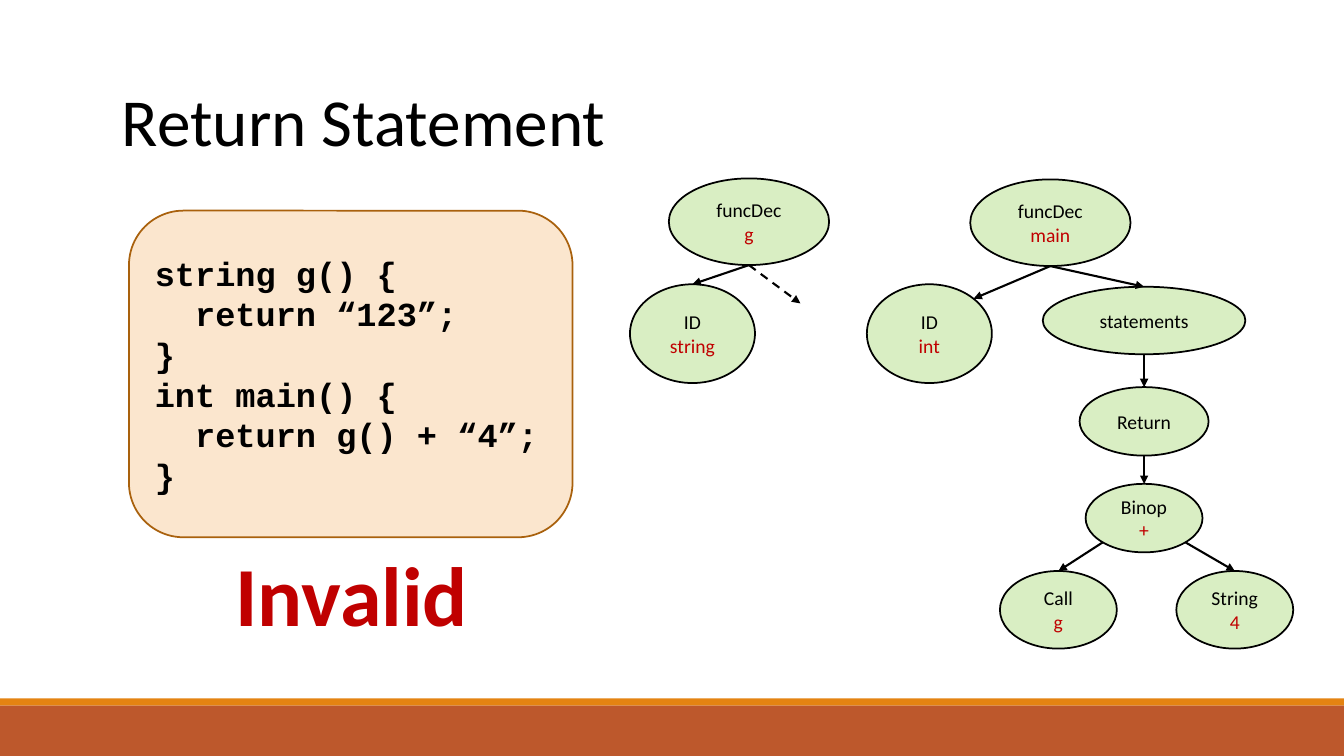
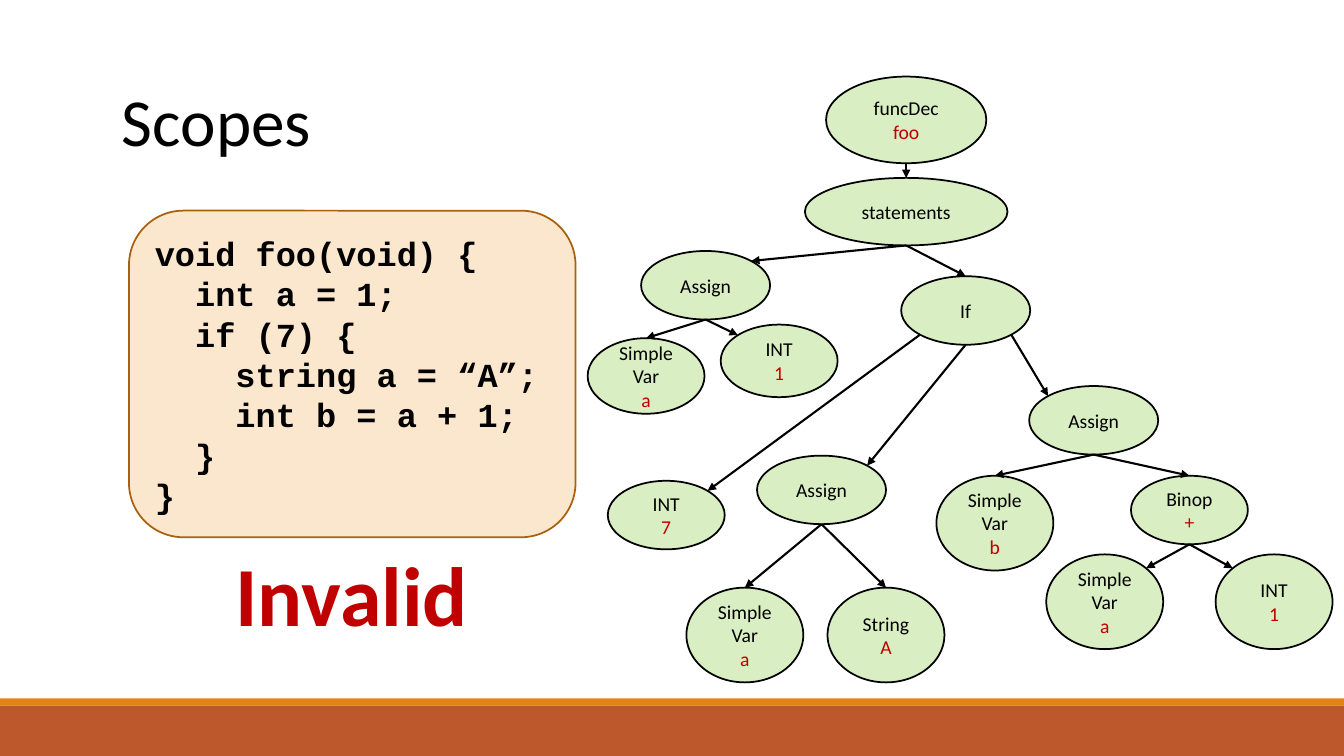
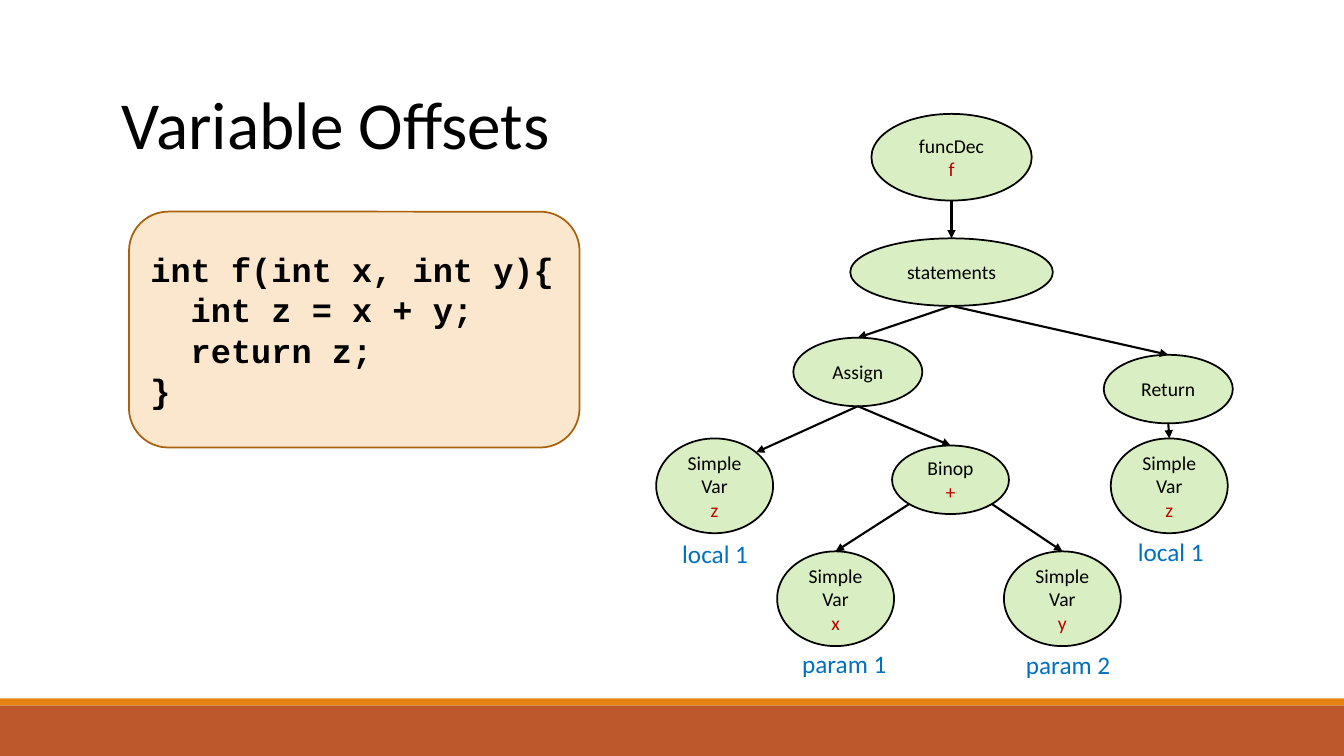
import pptx
import pptx.util
import pptx.dml.color
import pptx.enum.dml
import pptx.enum.shapes
import pptx.enum.text
import pptx.oxml.ns
import lxml.etree

Shape = pptx.enum.shapes.MSO_SHAPE
Align = pptx.enum.text.PP_ALIGN
Anchor = pptx.enum.text.MSO_ANCHOR
qn = pptx.oxml.ns.qn

CELL = pptx.util.Inches(0.1)
COLS, ROWS = 133.33, 75

BLACK, RED, BLUE, GREEN = "000000", "C00000", "0070C0", "92D050"
CREAM, BROWN, RUST, ORANGE = "FBE6CE", "A9610D", "BD582C", "E48312"

FUNC, BLOCK, STEP, TYPE = (15.9, 8.6), (20.1, 6.7), (12.8, 6.8), (12.4, 9.8)
OPERATOR, LEAF, VALUE = (11.6, 6.8), (11.6, 9.4), (11.6, 7.7)

DIAGONAL = 0.5 ** 0.5
SITES = {
    "N": (0, -1),
    "S": (0, 1),
    "NE": (DIAGONAL, -DIAGONAL),
    "NW": (-DIAGONAL, -DIAGONAL),
    "SE": (DIAGONAL, DIAGONAL),
    "SW": (-DIAGONAL, DIAGONAL),
}


def rgb(color):
    return pptx.dml.color.RGBColor.from_string(color)


def cells(*lengths):
    return [round(n * CELL) for n in lengths]


class Deck:
    def __init__(self):
        self.prs = pptx.Presentation()
        self.prs.slide_width, self.prs.slide_height = cells(COLS, ROWS)
        self.s = None

    def slide(self, title, top=7.3):
        self.s = self.prs.slides.add_slide(self.prs.slide_layouts[5])
        if len(self.prs.slides) == 1:
            self.band(70, 5, RUST, 101)
            self.band(69.3, 0.7, ORANGE, 102)
        sp = self.s.shapes.title
        sp.left, sp.top, sp.width, sp.height = cells(11.1, top, 110.9, 9.1)
        self.set_text(sp.text_frame, [title], 48, align=Align.LEFT)

    def band(self, top, height, color, number):
        sp = self.shape(Shape.RECTANGLE, (0, top, COLS, height), color)
        sp.element.nvSpPr.cNvPr.id = number
        self.prs.slide_master.shapes.element.insert(2, sp.element)

    def set_text(self, tf, lines, size, color=BLACK, align=Align.CENTER,
                 font="Calibri", bold=False):
        tf.word_wrap = True
        tf.text = "\n".join(lines)
        for p in tf.paragraphs:
            p.alignment = align
            p.font.size = pptx.util.Pt(size)
            p.font.name = font
            p.font.bold = bold
            p.font.color.rgb = rgb(color)

    def shape(self, kind, box, fill, line=None):
        sp = self.s.shapes.add_shape(kind, *cells(*box))
        sp.shadow.inherit = False
        sp.fill.solid()
        sp.fill.fore_color.rgb = rgb(fill)
        if line:
            sp.line.color.rgb = rgb(line)
            sp.line.width = pptx.util.Pt(1.25)
        else:
            sp.line.fill.background()
        return sp

    def text(self, box, text, size, color, **style):
        tf = self.s.shapes.add_textbox(*cells(*box)).text_frame
        self.set_text(tf, [text], size, color, **style)

    def code(self, width, source, top=20.9, height=32.4):
        sp = self.shape(Shape.ROUNDED_RECTANGLE, (12.8, top, width, height), CREAM, BROWN)
        self.set_text(sp.text_frame, source.strip().split("\n"), 24,
                      align=Align.LEFT, font="Courier New", bold=True)

    def verdict(self):
        self.text((19.6, 53.3, 30.6, 11.1), "Invalid", 60, RED, bold=True)

    def label(self, x, y, text):
        self.text((x, y, 10.4, 4), text, 18, BLUE, align=Align.LEFT)

    def node(self, size, x, y, label, value=""):
        w, h = size
        sp = self.shape(Shape.OVAL, (x - w / 2, y - h / 2, w, h), GREEN, BLACK)
        color = sp.element.spPr.find(".//" + qn("a:srgbClr"))
        lxml.etree.SubElement(color, qn("a:alpha"), val="34000")
        tf = sp.text_frame
        tf.vertical_anchor = Anchor.MIDDLE
        self.set_text(tf, label.split() + value.split(), 14)
        if value:
            tf.paragraphs[-1].font.color.rgb = rgb(RED)

    def arrow(self, start, end, dashed=False):
        c = self.s.shapes.add_connector(
            pptx.enum.shapes.MSO_CONNECTOR.STRAIGHT, *cells(*start, *end))
        c.line.color.rgb = rgb(BLACK)
        c.line.width = pptx.util.Pt(1.5)
        if dashed:
            c.line.dash_style = pptx.enum.dml.MSO_LINE.DASH
        lxml.etree.SubElement(c.get_or_add_ln(), qn("a:tailEnd"), type="triangle")
        lxml.etree.SubElement(c.element.spPr, qn("a:effectLst"))

    def tree(self, nodes, links):
        def site(name, side):
            (w, h), x, y = nodes[name][:3]
            dx, dy = SITES[side]
            return x + dx * w / 2, y + dy * h / 2

        for node in nodes.values():
            self.node(*node)
        for parent, child, leave, enter in links:
            self.arrow(site(parent, leave), site(child, enter))


deck = Deck()

deck.slide("Return Statement")
deck.verdict()
deck.code(44, """
string g() {
  return “123”;
}
int main() {
  return g() + “4”;
}
""")
deck.tree({
    "g": (FUNC, 74.3, 22, "funcDec", "g"),
    "g type": (TYPE, 68.7, 33.1, "ID", "string"),
    "main": (FUNC, 104.2, 22.1, "funcDec", "main"),
    "main type": (TYPE, 92.2, 33.1, "ID", "int"),
    "body": (BLOCK, 113.5, 31.8, "statements"),
    "return": (STEP, 113.5, 41.8, "Return"),
    "plus": (OPERATOR, 113.5, 51.4, "Binop", "+"),
    "call": (VALUE, 105, 60.5, "Call", "g"),
    "four": (VALUE, 122.5, 60.5, "String", "4"),
}, [
    ("g", "g type", "S", "N"),
    ("main", "main type", "S", "NE"),
    ("main", "body", "S", "N"),
    ("body", "return", "S", "N"),
    ("return", "plus", "S", "N"),
    ("plus", "call", "SW", "N"),
    ("plus", "four", "SE", "N"),
])
deck.arrow((74.3, 26.3), (79.4, 30.1), dashed=True)

deck.slide("Scopes")
deck.verdict()
deck.code(44.3, """
void foo(void) {
  int a = 1;
  if (7) {
    string a = “A”;
    int b = a + 1;
  }
}
""")
deck.tree({
    "foo": (FUNC, 89.9, 11.9, "funcDec", "foo"),
    "body": (BLOCK, 89.9, 21, "statements"),
    "outer assign": (STEP, 70, 28.3, "Assign"),
    "outer a": ((11.6, 7.5), 64.1, 37.3, "Simple Var", "a"),
    "outer one": ((11.6, 7.2), 77.3, 35.8, "INT", "1"),
    "if": (STEP, 95.8, 30.8, "If"),
    "seven": (OPERATOR, 66.1, 51.1, "INT", "7"),
    "text assign": (STEP, 81.5, 48.6, "Assign"),
    "text a": (LEAF, 73.9, 63, "Simple Var", "a"),
    "text": (LEAF, 87.9, 63, "String", "A"),
    "sum assign": (STEP, 108.5, 41.7, "Assign"),
    "b": (LEAF, 98.7, 51.9, "Simple Var", "b"),
    "plus": (OPERATOR, 118, 50.6, "Binop", "+"),
    "sum a": (LEAF, 109.6, 59.7, "Simple Var", "a"),
    "sum one": (LEAF, 126.4, 59.7, "INT", "1"),
}, [
    ("foo", "body", "S", "N"),
    ("body", "outer assign", "S", "NE"),
    ("body", "if", "S", "N"),
    ("outer assign", "outer a", "S", "N"),
    ("outer assign", "outer one", "S", "NW"),
    ("if", "seven", "SW", "NE"),
    ("if", "text assign", "S", "NE"),
    ("if", "sum assign", "SE", "NW"),
    ("text assign", "text a", "S", "N"),
    ("text assign", "text", "S", "N"),
    ("sum assign", "b", "S", "N"),
    ("sum assign", "plus", "S", "N"),
    ("plus", "sum a", "S", "NE"),
    ("plus", "sum one", "S", "NW"),
])

deck.slide("Variable Offsets", top=7.6)
deck.code(44.7, """
int f(int x, int y){
  int z = x + y;
  return z;
}
""", top=21, height=23.4)
deck.tree({
    "f": (FUNC, 94.4, 15.6, "funcDec", "f"),
    "body": (BLOCK, 94.4, 27, "statements"),
    "assign": (STEP, 85.1, 36.9, "Assign"),
    "z": (LEAF, 70.9, 48.2, "Simple Var", "z"),
    "plus": (OPERATOR, 94.3, 47.6, "Binop", "+"),
    "x": (LEAF, 82.9, 59.4, "Simple Var", "x"),
    "y": (LEAF, 105.4, 59.4, "Simple Var", "y"),
    "return": (STEP, 115.9, 38.6, "Return"),
    "result": (LEAF, 116, 48.2, "Simple Var", "z"),
}, [
    ("f", "body", "S", "N"),
    ("body", "assign", "S", "N"),
    ("body", "return", "S", "N"),
    ("assign", "z", "S", "NE"),
    ("assign", "plus", "S", "N"),
    ("plus", "x", "SW", "N"),
    ("plus", "y", "SE", "N"),
    ("return", "result", "S", "N"),
])
deck.label(66.7, 52.9, "local 1")
deck.label(111.9, 52.7, "local 1")
deck.label(78.6, 63.8, "param 1")
deck.label(100.8, 63.9, "param 2")

deck.prs.save("out.pptx")
